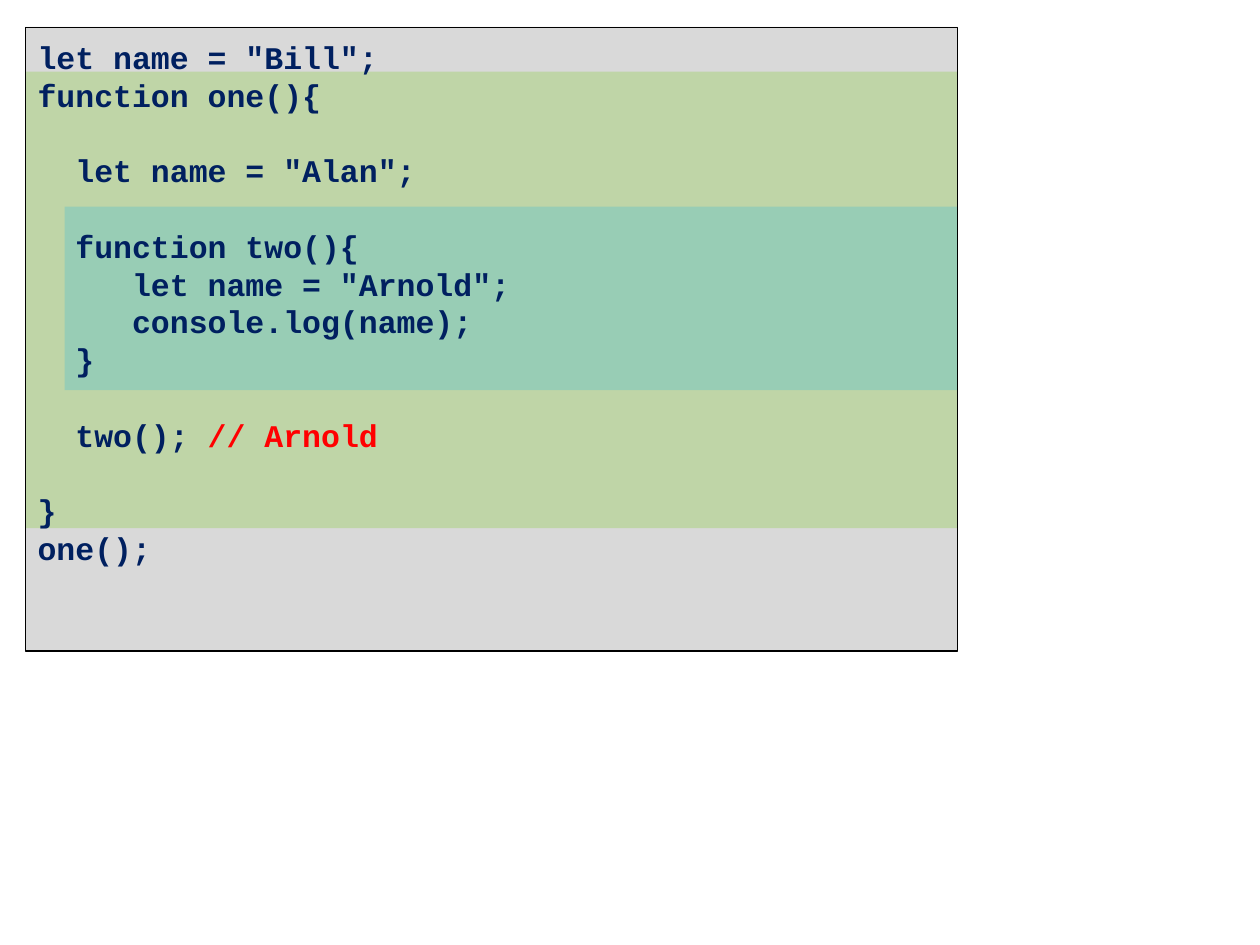
"""Build a slide showing nested JavaScript scopes as shaded blocks behind the code."""
from lxml import etree
from pptx import Presentation
from pptx.dml.color import RGBColor
from pptx.enum.shapes import MSO_SHAPE
from pptx.enum.text import MSO_ANCHOR, PP_ALIGN
from pptx.oxml.ns import qn
from pptx.util import Pt

RECTANGLE = MSO_SHAPE.RECTANGLE
TOP = MSO_ANCHOR.TOP
LEFT = PP_ALIGN.LEFT
COLORS = {
    "global": "D9D9D9",
    "outer": "92D050",
    "inner": "00B0F0",
    "border": "000000",
    "code": "002060",
    "comment": "FF0000",
}
LINE_HEIGHT = 21.6
RIGHT_EDGE = 547.2

presentation = Presentation()
presentation.slide_width = Pt(720)
presentation.slide_height = Pt(540)
slide = presentation.slides.add_slide(presentation.slide_layouts[6])

scopes = [
    ("global", 14.4, 15.4, 357, 100),
    ("outer", 14.4, 41, 260.8, 36),
    ("inner", 36.9, 118, 104.9, 20),
]
for name, left, top, height, opacity in scopes:
    shape = slide.shapes.add_shape(RECTANGLE, Pt(left), Pt(top), Pt(RIGHT_EDGE - left), Pt(height))
    shape.shadow.inherit = False
    shape.line.fill.background()
    shape.fill.solid()
    shape.fill.fore_color.rgb = RGBColor.from_string(COLORS[name])
    if opacity < 100:
        color = shape.fill._xPr.find(qn("a:solidFill")).find(qn("a:srgbClr"))
        etree.SubElement(color, qn("a:alpha"), val=str(opacity * 1000))

code_box = slide.shapes.add_textbox(Pt(14.4), Pt(15.6), Pt(RIGHT_EDGE - 14.4), Pt(356.4))
code_box.line.color.rgb = RGBColor.from_string(COLORS["border"])
code_box.line.width = Pt(0.75)
text_frame = code_box.text_frame
text_frame.word_wrap = True
text_frame.vertical_anchor = TOP
text_frame.margin_top = Pt(6)

code_lines = [
    (0, 'let name = "Bill";', ""),
    (0, "function one(){", ""),
    (1, '  let name = "Alan";', ""),
    (1, "  function two(){", ""),
    (0, '     let name = "Arnold";', ""),
    (0, "     console.log(name);", ""),
    (0, "  }", ""),
    (1, "  two(); ", "// Arnold"),
    (1, "}", ""),
    (0, "one();", ""),
]
for index, (lines_before, code, comment) in enumerate(code_lines):
    paragraph = text_frame.add_paragraph() if index else text_frame.paragraphs[0]
    paragraph.alignment = LEFT
    paragraph.line_spacing = Pt(LINE_HEIGHT)
    paragraph.space_before = Pt(lines_before * LINE_HEIGHT)
    paragraph.font.name = "Courier New"
    paragraph.font.size = Pt(18)
    paragraph.font.bold = True
    paragraph.font.color.rgb = RGBColor.from_string(COLORS["code"])
    paragraph.add_run().text = code
    if comment:
        run = paragraph.add_run()
        run.text = comment
        run.font.color.rgb = RGBColor.from_string(COLORS["comment"])

presentation.save("out.pptx")
